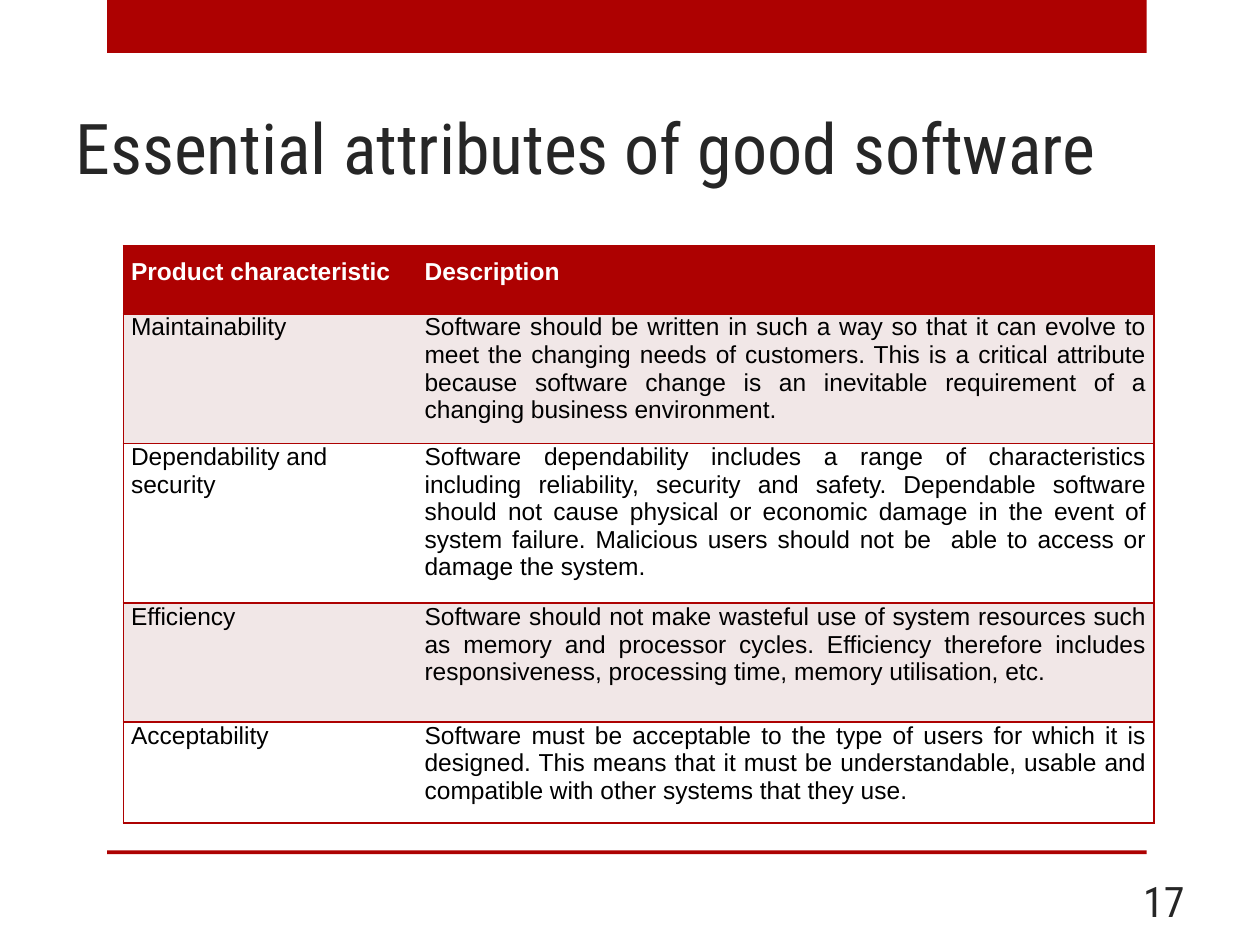
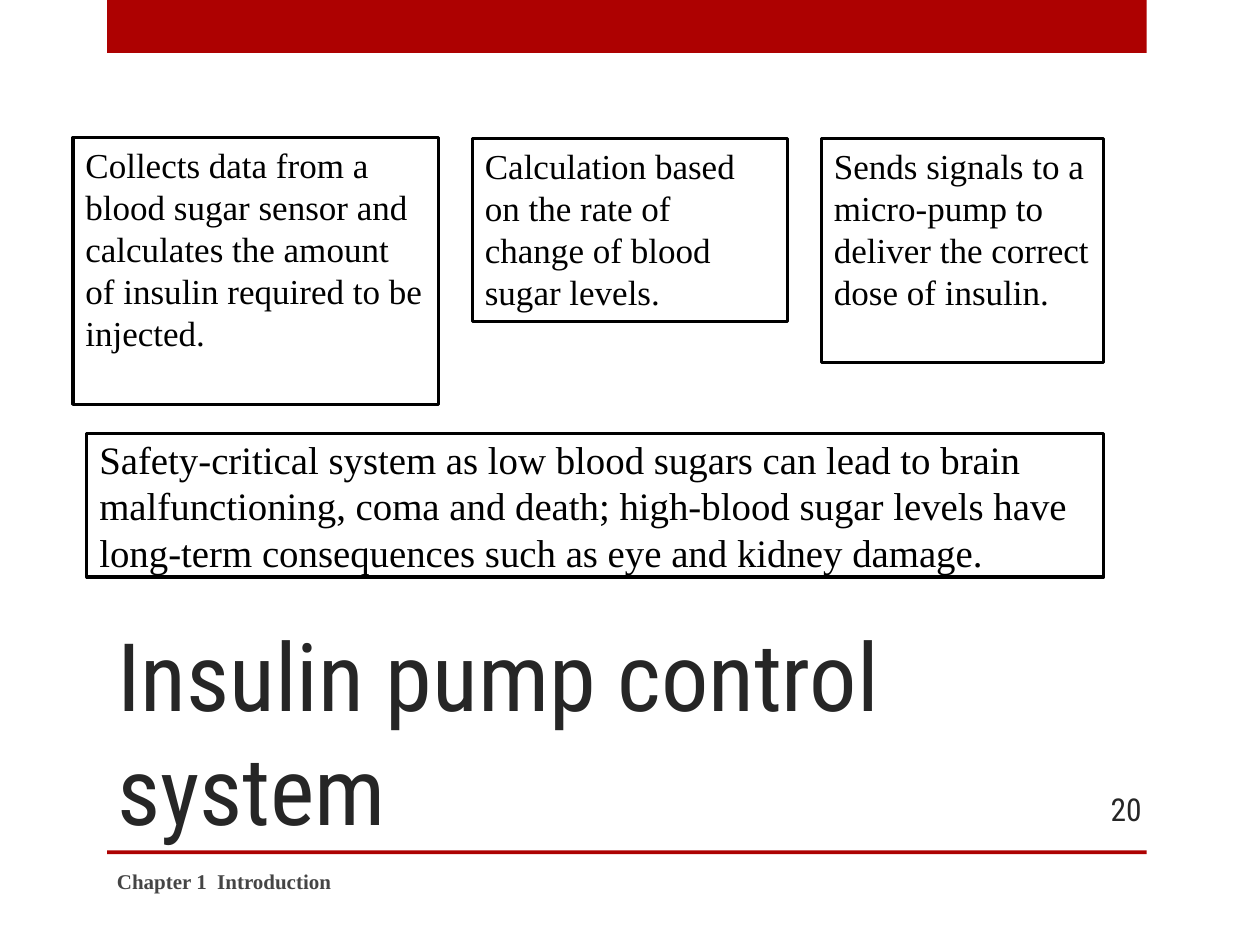
from dataclasses import dataclass

from lxml.etree import SubElement as Sub
from pptx import Presentation
from pptx.dml.color import RGBColor as RGB
from pptx.enum.shapes import MSO_SHAPE as Shape
from pptx.enum.text import MSO_ANCHOR as Anchor, MSO_AUTO_SIZE as Fit, PP_ALIGN as Align
from pptx.oxml import parse_xml
from pptx.oxml.ns import nsdecls, qn
from pptx.util import Inches, Pt


@dataclass(frozen=True)
class Theme:
    red: str = "AD0101"
    tint: str = "F1E7E7"
    white: str = "FFFFFF"
    black: str = "000000"
    dark: str = "262626"
    gray: str = "454545"
    head: str = "Roboto Condensed"
    grid: str = "Arial"
    body: str = "Times New Roman"
    title: float = 40
    big: float = 54
    cell: float = 14
    note: float = 20
    alert: float = 22.2
    foot: float = 12
    page: float = 24
    small: float = 18
    rule: float = 1.25
    frame: float = 1.75


T = Theme()

ROWS = [
    ("Product characteristic", "Description"),
    ("Maintainability",
     "Software should be written in such a way so that it can evolve to meet the "
     "changing needs of customers. This is a critical attribute because software "
     "change is an inevitable requirement of a changing business environment."),
    ("Dependability and security",
     "Software dependability includes a range of characteristics including "
     "reliability, security and safety. Dependable software should not cause "
     "physical or economic damage in the event of system failure. Malicious users "
     "should not be  able to access or damage the system."),
    ("Efficiency",
     "Software should not make wasteful use of system resources such as memory and "
     "processor cycles. Efficiency therefore includes responsiveness, processing "
     "time, memory utilisation, etc."),
    ("Acceptability",
     "Software must be acceptable to the type of users for which it is designed. "
     "This means that it must be understandable, usable and compatible with other "
     "systems that they use."),
]
WIDTHS = (2.33, 5.85)
HEIGHTS = (0.54, 1.03, 1.27, 0.94, 0.8)

NOTES = [
    ((0.58, 1.09, 2.9, 2.12),
     "Collects data from a blood sugar sensor and calculates the amount of insulin "
     "required to be injected."),
    ((3.75, 1.1, 2.5, 1.45),
     "Calculation based on the rate of change of blood sugar levels."),
    ((6.52, 1.1, 2.24, 1.78),
     "Sends signals to a micro-pump to deliver the correct dose of insulin."),
]
ALERT = ("Safety-critical system as low blood sugars can lead to brain malfunctioning, "
         "coma and death; high-blood sugar levels have long-term consequences such as "
         "eye and kidney damage.")


def inch(at):
    return [Inches(n) for n in at]


def paint(item, color):
    item.fill.solid()
    item.fill.fore_color.rgb = RGB.from_string(color)


def style(para, face, size, color, align=Align.LEFT, bold=False):
    para.alignment = align
    font = para.font
    font.name, font.size, font.bold = face, Pt(size), bold
    font.color.rgb = RGB.from_string(color)


def write(frame, text, face, size, color, anchor=Anchor.MIDDLE, **look):
    frame.text = text
    frame.word_wrap = True
    frame.auto_size = Fit.NONE
    frame.vertical_anchor = anchor
    style(frame.paragraphs[0], face, size, color, **look)


def rect(slide, at, fill, line=None):
    shape = slide.shapes.add_shape(Shape.RECTANGLE, *inch(at))
    shape.shadow.inherit = False
    paint(shape, fill)
    if line:
        shape.line.color.rgb = RGB.from_string(line)
        shape.line.width = Pt(T.frame)
    else:
        shape.line.fill.background()
    return shape


def page(deck, title, at, size):
    """Add a title-only slide with the red band and rule."""
    slide = deck.slides.add_slide(deck.slide_layouts[5])
    for top, height in ((0, 0.42), (6.75, 0.03)):
        rect(slide, (0.85, top, 8.25, height), T.red)
    head = slide.shapes.title
    head.left, head.top, head.width, head.height = inch(at)
    write(head.text_frame, title, T.head, size, T.dark, Anchor.BOTTOM)
    return slide


def label(slide, at, *args, **look):
    write(slide.shapes.add_textbox(*inch(at)).text_frame, *args, **look)


def box(slide, at, text, size, anchor=Anchor.TOP):
    shape = rect(slide, at, T.white, T.black)
    write(shape.text_frame, text, T.body, size, T.black, anchor)


def edge(cell, sides):
    """Rule the given sides of a cell in red and clear the others."""
    props = cell._tc.get_or_add_tcPr()
    for i, side in enumerate("LRTB"):
        line = parse_xml(f'<a:ln{side} {nsdecls("a")} w="{Pt(T.rule)}" '
                         'cap="flat" cmpd="sng" algn="ctr"/>')
        if side in sides:
            fill = Sub(line, qn("a:solidFill"))
            Sub(fill, qn("a:srgbClr"), val=T.red)
            Sub(line, qn("a:prstDash"), val="solid")
        else:
            Sub(line, qn("a:noFill"))
        props.insert(i, line)


def fill_cell(cell, text, row, col):
    top = row == 0
    cell.text = text
    cell.margin_left = cell.margin_right = Inches(0.06)
    cell.margin_top = Inches(0.1 if top else 0)
    cell.margin_bottom = Inches(0.1)
    paint(cell, T.red if top else T.tint if row % 2 else T.white)
    style(cell.text_frame.paragraphs[0], T.grid, T.cell,
          T.white if top else T.black,
          align=Align.JUSTIFY if col else Align.LEFT, bold=top)
    edge(cell, "RTB" if col else "LTB")


def grid(slide, left, top):
    at = inch((left, top, sum(WIDTHS), sum(HEIGHTS)))
    table = slide.shapes.add_table(len(ROWS), len(WIDTHS), *at).table
    for col, width in zip(table.columns, WIDTHS):
        col.width = Inches(width)
    for r, (texts, height) in enumerate(zip(ROWS, HEIGHTS)):
        table.rows[r].height = Inches(height)
        for c, text in enumerate(texts):
            fill_cell(table.cell(r, c), text, r, c)


def traits(deck):
    slide = page(deck, "Essential attributes of good software",
                 (0.5, 0.3, 8.75, 1.25), T.title)
    label(slide, (7.17, 6.95, 2.33, 0.4), "17", T.head, T.page, T.dark,
          align=Align.RIGHT)
    grid(slide, 0.98, 1.95)


def pump(deck):
    slide = page(deck, "Insulin pump control system", (0.83, 5, 7.42, 1.75), T.big)
    box(slide, (0.69, 3.44, 8.07, 1.14), ALERT, T.alert, Anchor.MIDDLE)
    label(slide, (0.83, 6.79, 5.33, 0.4), "Chapter 1  Introduction",
          T.body, T.foot, T.gray, bold=True)
    label(slide, (8.33, 6.22, 0.83, 0.4), "20", T.head, T.small, T.dark,
          align=Align.RIGHT)
    for at, text in NOTES:
        box(slide, at, text, T.note)


def main():
    deck = Presentation()
    deck.slide_width, deck.slide_height = inch((10, 7.5))
    traits(deck)
    pump(deck)
    deck.save("out.pptx")


if __name__ == "__main__":
    main()
